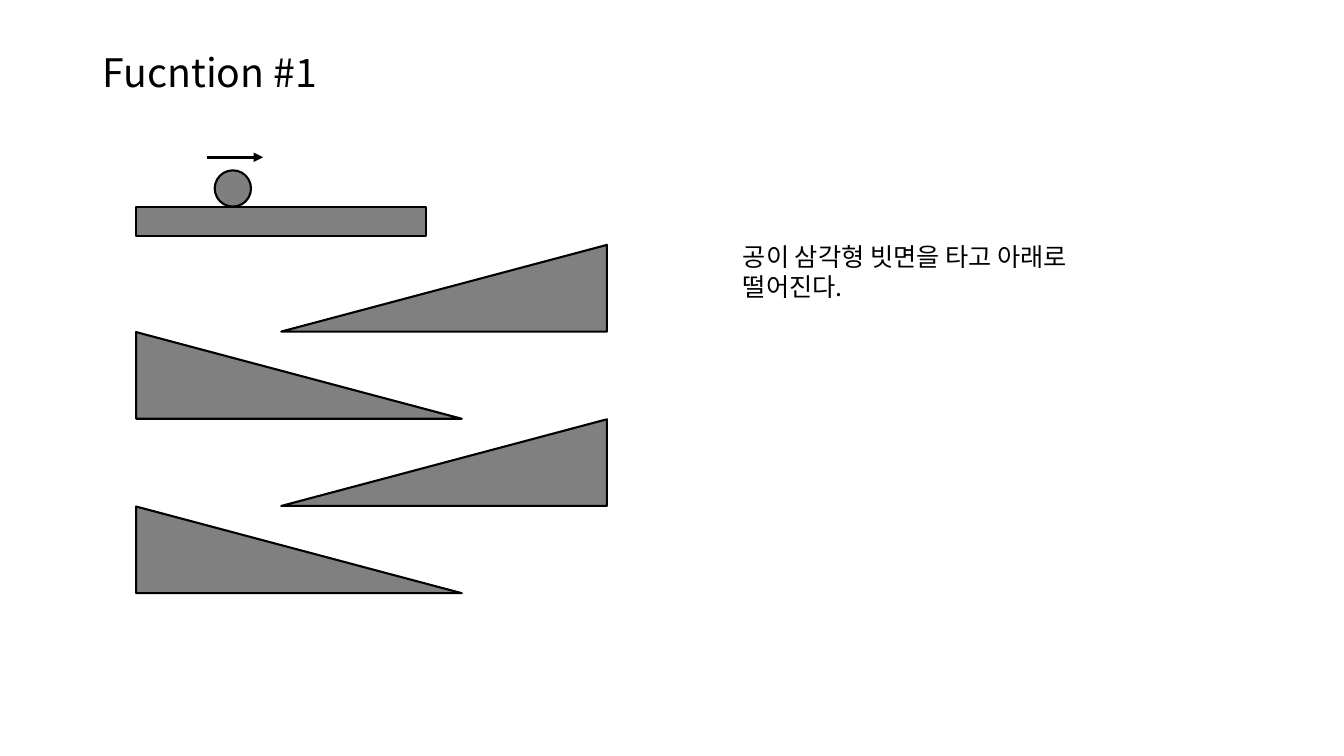
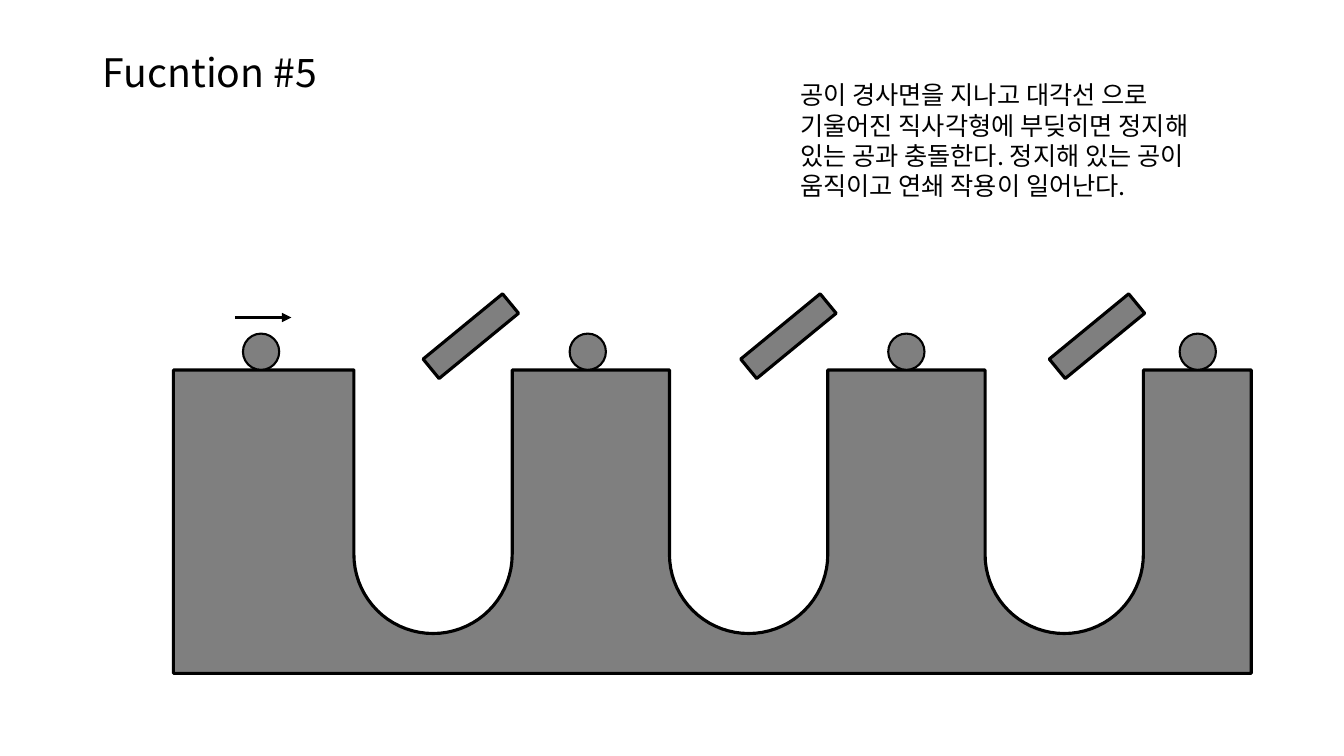
import math

import pptx
import pptx.dml.color
import pptx.enum.shapes
import pptx.enum.text
import pptx.oxml.ns
import pptx.util
from lxml import etree

# Content; lengths are in inches
TITLES = ("Fucntion #1", "Fucntion #5")
RAMP_NOTE = "공이 삼각형 빗면을 타고 아래로 떨어진다."
CHAIN_NOTE = ("공이 경사면을 지나고 대각선 으로 기울어진 직사각형에 부딪히면 정지해 있는 공과 "
              "충돌한다. 정지해 있는 공이 움직이고 연쇄 작용이 일어난다.")
RAMP_NOTE_BOX = (7.27, 2.34, 3.58, 0.71)
CHAIN_NOTE_BOX = (7.84, 0.74, 4.26, 1.31)

# Shared style
SLIDE_SIZE = (13.33, 7.5)
TITLE_BOX = (0.92, 0.4, 8.67, 0.69)
FONT = "Noto Sans CJK KR"
BLACK = pptx.dml.color.RGBColor(0x00, 0x00, 0x00)
RAMP_GRAY = pptx.dml.color.RGBColor(0x80, 0x80, 0x80)
GRAY = pptx.dml.color.RGBColor(0x7F, 0x7F, 0x7F)
THIN, THICK = 1.5, 2.25
BALL = 0.36
ARROW_LENGTH = 0.56

# Ramp slide
SHELF = (1.35, 2.05, 2.88, 0.29)
RAMP_SIZE = (3.23, 0.86)
RAMP_TOP, RAMP_PITCH, RAMP_COUNT = 2.43, 0.865, 4
RAMP_LEFTS, RAMP_PEAKS = (2.79, 1.35), (1, 0)
SHELF_BALL_CENTER = 2.31

# Chain slide
BLOCK_LEFT, BLOCK_RIGHT, BLOCK_TOP, BLOCK_BOTTOM = 1.72, 12.41, 3.67, 6.68
SLOT_LEFT, SLOT_PITCH, SLOT_WIDTH, SLOT_COUNT = 3.51, 3.13, 1.57, 3
ARC_TOP, ARC_STEPS = 5.5, 36
PADDLE_LEFTS = (4.16, 7.31, 10.37)
PADDLE_TOP, PADDLE_SIZE, PADDLE_ANGLE = 3.21, (1.02, 0.25), 320.6
BALL_CENTERS = (2.59, 5.83, 8.99, 11.88)

PRESETS = pptx.enum.shapes.MSO_SHAPE


def inches(values):
    """Turn a sequence of inches into slide lengths."""
    return [pptx.util.Inches(value) for value in values]


def write(frame, text, size):
    """Put one styled run into a text frame."""
    paragraph = frame.paragraphs[0]
    paragraph.alignment = pptx.enum.text.PP_ALIGN.LEFT
    run = paragraph.add_run()
    run.text = text
    run.font.size = pptx.util.Pt(size)
    run.font.color.rgb = BLACK
    run.font.name = FONT
    etree.SubElement(run.font._element, pptx.oxml.ns.qn("a:ea"), typeface=FONT)
    return paragraph


def add_titled_slide(presentation, title):
    """Add a title-only slide with the shared title style."""
    slide = presentation.slides.add_slide(presentation.slide_layouts[5])
    shape = slide.shapes.title
    shape.left, shape.top, shape.width, shape.height = inches(TITLE_BOX)
    shape.text_frame.vertical_anchor = pptx.enum.text.MSO_ANCHOR.MIDDLE
    write(shape.text_frame, title, 28).line_spacing = 0.9
    return slide


def add_note(slide, text, box):
    """Add the explanation beside the drawing."""
    frame = slide.shapes.add_textbox(*inches(box)).text_frame
    frame.word_wrap = True
    frame.auto_size = pptx.enum.text.MSO_AUTO_SIZE.SHAPE_TO_FIT_TEXT
    write(frame, text, 18)


def style(shape, fill, weight):
    """Give a shape a flat fill and a black outline."""
    shape.shadow.inherit = False
    shape.fill.solid()
    shape.fill.fore_color.rgb = fill
    shape.line.color.rgb = BLACK
    shape.line.width = pptx.util.Pt(weight)


def add_part(slide, preset, box, fill=GRAY, weight=THIN):
    """Add one styled preset shape."""
    shape = slide.shapes.add_shape(preset, *inches(box))
    style(shape, fill, weight)
    return shape


def add_ball(slide, center, floor):
    """Set a ball on a floor."""
    add_part(slide, PRESETS.OVAL, (center - BALL / 2, floor - BALL, BALL, BALL))


def add_arrow(slide, center, top):
    """Add the arrow that shows which way a ball rolls."""
    start = center - 0.26
    arrow = slide.shapes.add_connector(
        pptx.enum.shapes.MSO_CONNECTOR.STRAIGHT,
        *inches((start, top, start + ARROW_LENGTH, top)))
    arrow.line.color.rgb = BLACK
    arrow.line.width = pptx.util.Pt(THICK)
    etree.SubElement(arrow.line._get_or_add_ln(),
                     pptx.oxml.ns.qn("a:tailEnd"), type="triangle")
    etree.SubElement(arrow._element.spPr, pptx.oxml.ns.qn("a:effectLst"))


def slot_points(left):
    """Return the outline of one round-bottomed slot, left to right."""
    radius = SLOT_WIDTH / 2
    points = [(left, BLOCK_TOP)]
    for step in range(ARC_STEPS + 1):
        angle = math.pi * step / ARC_STEPS
        points.append((left + radius - radius * math.cos(angle),
                       ARC_TOP + radius * math.sin(angle)))
    return points + [(left + SLOT_WIDTH, BLOCK_TOP)]


def add_block(slide):
    """Add the block with its row of slots."""
    points = []
    for index in range(SLOT_COUNT):
        points += slot_points(SLOT_LEFT + index * SLOT_PITCH)
    points += [(BLOCK_RIGHT, BLOCK_TOP), (BLOCK_RIGHT, BLOCK_BOTTOM),
               (BLOCK_LEFT, BLOCK_BOTTOM)]
    builder = slide.shapes.build_freeform(*inches((BLOCK_LEFT, BLOCK_TOP)))
    builder.add_line_segments([inches(point) for point in points], close=True)
    style(builder.convert_to_shape(), GRAY, THICK)


def build_ramp_slide(presentation):
    """Draw the ball above four alternating ramps."""
    slide = add_titled_slide(presentation, TITLES[0])
    add_part(slide, PRESETS.RECTANGLE, SHELF, RAMP_GRAY)
    for row in range(RAMP_COUNT):
        side = row % 2
        box = (RAMP_LEFTS[side], RAMP_TOP + row * RAMP_PITCH, *RAMP_SIZE)
        ramp = add_part(slide, PRESETS.ISOSCELES_TRIANGLE, box, RAMP_GRAY)
        ramp.adjustments[0] = RAMP_PEAKS[side]
    add_ball(slide, SHELF_BALL_CENTER, SHELF[1])
    add_arrow(slide, SHELF_BALL_CENTER, 1.56)
    add_note(slide, RAMP_NOTE, RAMP_NOTE_BOX)


def build_chain_slide(presentation):
    """Draw the slotted block with its paddles and balls."""
    slide = add_titled_slide(presentation, TITLES[1])
    add_block(slide)
    for left in PADDLE_LEFTS:
        box = (left, PADDLE_TOP, *PADDLE_SIZE)
        paddle = add_part(slide, PRESETS.RECTANGLE, box, weight=THICK)
        paddle.rotation = PADDLE_ANGLE
    for center in BALL_CENTERS:
        add_ball(slide, center, BLOCK_TOP)
    add_arrow(slide, BALL_CENTERS[0], 3.15)
    add_note(slide, CHAIN_NOTE, CHAIN_NOTE_BOX)


presentation = pptx.Presentation()
presentation.slide_width, presentation.slide_height = inches(SLIDE_SIZE)
build_ramp_slide(presentation)
build_chain_slide(presentation)
presentation.save("out.pptx")
